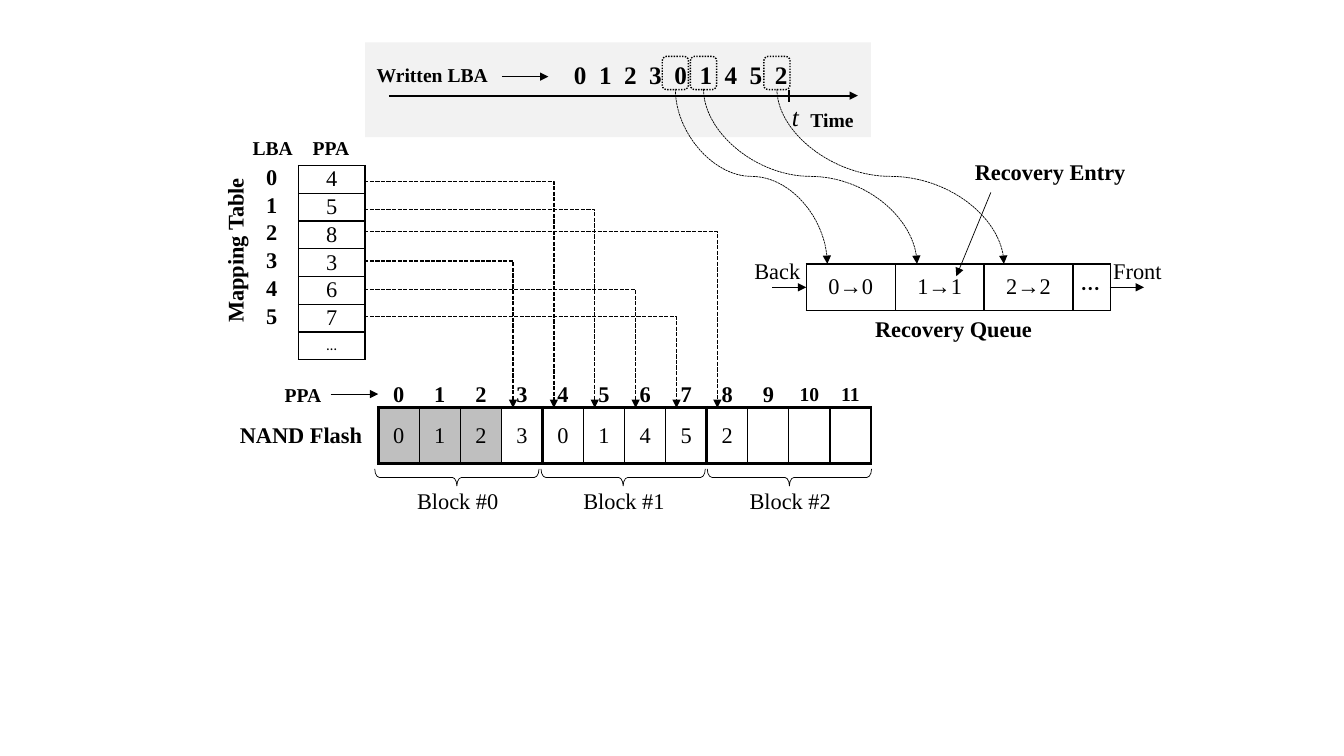
"""Build a slide showing how a flash mapping table feeds a recovery queue."""
from lxml import etree
from pptx import Presentation
from pptx.dml.color import RGBColor
from pptx.enum.dml import MSO_LINE
from pptx.enum.shapes import MSO_CONNECTOR, MSO_SHAPE
from pptx.enum.text import MSO_ANCHOR, MSO_AUTO_SIZE, PP_ALIGN
from pptx.oxml.ns import qn
from pptx.util import Cm, Pt

BLACK = RGBColor(0x00, 0x00, 0x00)
PANEL_GRAY = RGBColor(0xF2, 0xF2, 0xF2)
STALE_GRAY = RGBColor(0xBF, 0xBF, 0xBF)
SERIF = "Times New Roman"
PLAIN_TABLE = "{2D5ABB26-0587-4C30-8999-92F81FD0307C}"
STRAIGHT, ELBOW, CURVE = MSO_CONNECTOR.STRAIGHT, MSO_CONNECTOR.ELBOW, MSO_CONNECTOR.CURVE
DASHED, DOTTED = MSO_LINE.SQUARE_DOT, MSO_LINE.ROUND_DOT
CENTER, MIDDLE, TOP = PP_ALIGN.CENTER, MSO_ANCHOR.MIDDLE, MSO_ANCHOR.TOP

FLASH_LEFT, FLASH_WIDTH, PAGES, BLOCKS = 9.53, 12.42, 12, 3
BLOCK_PITCH = 4.19
TEXT_HEIGHTS = {14: 0.86, 16: 0.94, 18: 1.02}

prs = Presentation()
prs.slide_width, prs.slide_height = Cm(33.87), Cm(19.05)
slide = prs.slides.add_slide(prs.slide_layouts[6])
shapes = slide.shapes


def write(frame, text, size, bold=False, font=SERIF):
    """Put one centred line of text into a frame and format it."""
    paragraph = frame.paragraphs[0]
    paragraph.text = text
    paragraph.alignment = CENTER
    for run in paragraph.runs:
        run.font.name, run.font.size, run.font.bold = font, Pt(size), bold
        run.font.color.rgb = BLACK
    if not text:
        paragraph._p.get_or_add_endParaRPr().set("sz", str(int(size * 100)))


def connect(kind, x1, y1, x2, y2, width=0.5, dash=None, arrow=True):
    """Draw a black connector, with an arrowhead at its end by default."""
    connector = shapes.add_connector(kind, Cm(x1), Cm(y1), Cm(x2), Cm(y2))
    connector.line.color.rgb = BLACK
    connector.line.width = Pt(width)
    if dash:
        connector.line.dash_style = dash
    if arrow:
        etree.SubElement(connector.line._get_or_add_ln(), qn("a:tailEnd"), type="triangle")
    etree.SubElement(connector._element.spPr, qn("a:effectLst"))
    return connector


timeline_panel = shapes.add_shape(MSO_SHAPE.RECTANGLE, Cm(9.2), Cm(1.07), Cm(12.75), Cm(2.39))
timeline_panel.shadow.inherit = False
timeline_panel.fill.solid()
timeline_panel.fill.fore_color.rgb = PANEL_GRAY
timeline_panel.line.fill.background()

mapped_ppas = [4, 5, 8, 3, 6, 7]
mapping_rows = [[str(lba), str(ppa)] for lba, ppa in enumerate(mapped_ppas)] + [["", "…"]]
page_columns = [FLASH_WIDTH / PAGES] * PAGES
block_columns = [FLASH_WIDTH / BLOCKS] * BLOCKS
page_numbers = [str(page) for page in range(PAGES)]
page_contents = list("012301452") + [""] * 3
queue_entries = ["0→0", "1→1", "2→2", ""]

tables = [
    ("flash", FLASH_LEFT, 10.29, page_columns, 1.4, [page_contents], 1),
    ("mapping", 6.17, 4.17, [1.35, 1.68], 0.7, mapping_rows, 1),
    ("blocks", FLASH_LEFT, 10.26, block_columns, 1.42, [[""] * BLOCKS], 2.25),
    ("numbers", FLASH_LEFT, 9.47, page_columns, 0.94, [page_numbers], 0),
    ("queue", 20.32, 6.65, [2.24] * 3 + [0.94], 1.17, [queue_entries], 1),
]
for role, left, top, widths, row_height, rows, border in tables:
    table = shapes.add_table(len(rows), len(widths), Cm(left), Cm(top),
                             Cm(sum(widths)), Cm(row_height * len(rows))).table
    table.first_row = table.horz_banding = False
    table._tbl.tblPr.find(qn("a:tableStyleId")).text = PLAIN_TABLE
    for column, width in zip(table.columns, widths):
        column.width = Cm(width)
    for r, values in enumerate(rows):
        table.rows[r].height = Cm(row_height)
        for c, value in enumerate(values):
            cell = table.cell(r, c)
            lba_label = role == "mapping" and c == 0
            cell.margin_left = cell.margin_right = cell.margin_top = cell.margin_bottom = 0
            cell.vertical_anchor = TOP if lba_label else MIDDLE
            if value == "…":
                write(cell.text_frame, value, 10.5, font="Calibri")
            else:
                size = 14 if len(value) == 2 else 16 if value else 10.5
                write(cell.text_frame, value, size, lba_label or role == "numbers")
            if border and not lba_label:
                for side in ("a:lnL", "a:lnR", "a:lnT", "a:lnB"):
                    edge = etree.SubElement(cell._tc.get_or_add_tcPr(), qn(side),
                                            w=str(Pt(border)))
                    paint = etree.SubElement(edge, qn("a:solidFill"))
                    etree.SubElement(paint, qn("a:srgbClr"), val=str(BLACK))
            if role == "flash" and c < 3:
                cell.fill.solid()
                cell.fill.fore_color.rgb = STALE_GRAY
            else:
                cell.fill.background()

labels = [
    ("Time", 20.17, 2.59, 1.6, 14, True),
    ("Written LBA", 9.22, 1.47, 3.35, 14, True),
    ("0 1 2 3 0 1 4 5 2", 14.1, 1.37, 6.12, 18, True),
    ("t", 19.7, 2.44, 0.69, 18, False),
    ("Mapping Table", 3.81, 5.84, 4.22, 16, True),
    ("NAND Flash", 5.77, 10.49, 3.63, 16, True),
    ("LBA", 6.1, 3.3, 1.55, 14, True),
    ("PPA", 7.62, 3.3, 1.45, 14, True),
    ("PPA", 6.91, 9.53, 1.45, 14, True),
    ("Front", 27.79, 6.35, 1.75, 16, False),
    ("Back", 18.75, 6.35, 1.68, 16, False),
    ("Recovery Queue", 21.77, 7.82, 4.52, 16, True),
    ("Recovery Entry", 24.28, 3.86, 4.37, 16, True),
    ("···", 26.97, 6.83, 1.02, 14, True),
]
labels += [(f"Block #{block}", 10.24 + BLOCK_PITCH * block, 12.14, 2.59, 16, False)
           for block in range(BLOCKS)]
for text, left, top, width, size, bold in labels:
    label = shapes.add_textbox(Cm(left), Cm(top), Cm(width), Cm(TEXT_HEIGHTS[size]))
    label.text_frame.word_wrap = False
    label.text_frame.auto_size = MSO_AUTO_SIZE.SHAPE_TO_FIT_TEXT
    write(label.text_frame, text, size, bold)
    run = label.text_frame.paragraphs[0].runs[0]
    if text == "Mapping Table":
        label.rotation = 270
    elif text == "t":
        run.font.italic = True
    elif text.startswith("0 1"):
        run._r.get_or_add_rPr().set("spc", "225")

for block in range(BLOCKS):
    brace = shapes.add_shape(MSO_SHAPE.LEFT_BRACE, Cm(11.3 + BLOCK_PITCH * block), Cm(9.96),
                             Cm(0.43), Cm(4.14))
    brace.rotation = 270
    brace.adjustments[0] = 0.27
    brace.shadow.inherit = False
    brace.fill.background()
    brace.line.color.rgb = BLACK
    brace.line.width = Pt(0.5)

connect(STRAIGHT, 9.8, 2.41, 21.62, 2.41, width=1.5)
connect(STRAIGHT, 19.89, 2.26, 19.89, 2.57, width=1.5, arrow=False)
for pointer in [(12.65, 1.93, 13.82, 1.93), (8.33, 9.93, 9.53, 9.93),
                (27.97, 7.24, 28.83, 7.24), (24.97, 4.85, 24.1, 6.96),
                (19.46, 7.24, 20.32, 7.24)]:
    connect(STRAIGHT, *pointer)

for ppa, row_y in zip(mapped_ppas, [4.57, 5.28, 5.84, 6.58, 7.29, 7.98]):
    page_x = 12.93 + 1.03 * (ppa - 3)
    mapping = connect(ELBOW, 9.18, row_y, page_x, 10.28, width=1, dash=DASHED)
    adjustments = mapping._element.spPr.find(qn("a:prstGeom")).get_or_add_avLst()
    etree.SubElement(adjustments, qn("a:gd"), name="adj1", fmla="val 100000")

for rewrite_x, entry_x in [(17.02, 20.85), (17.73, 23.11), (19.58, 25.3)]:
    rewrite = shapes.add_shape(MSO_SHAPE.ROUNDED_RECTANGLE, Cm(rewrite_x - 0.33), Cm(1.42),
                               Cm(0.66), Cm(0.84))
    rewrite.shadow.inherit = False
    rewrite.fill.background()
    rewrite.line.color.rgb = BLACK
    rewrite.line.width = Pt(1)
    rewrite.line.dash_style = DOTTED
    middle_x, middle_y = (rewrite_x + entry_x) / 2, (2.24 + 6.65) / 2
    half_drop, half_run = (6.65 - 2.24) / 2, (entry_x - rewrite_x) / 2
    enqueue = connect(CURVE, middle_x - half_drop, middle_y - half_run,
                      middle_x + half_drop, middle_y + half_run, dash=DASHED)
    turn = enqueue._element.spPr.find(qn("a:xfrm"))
    turn.set("rot", "16200000")
    turn.set("flipH", "1")

prs.save("out.pptx")
